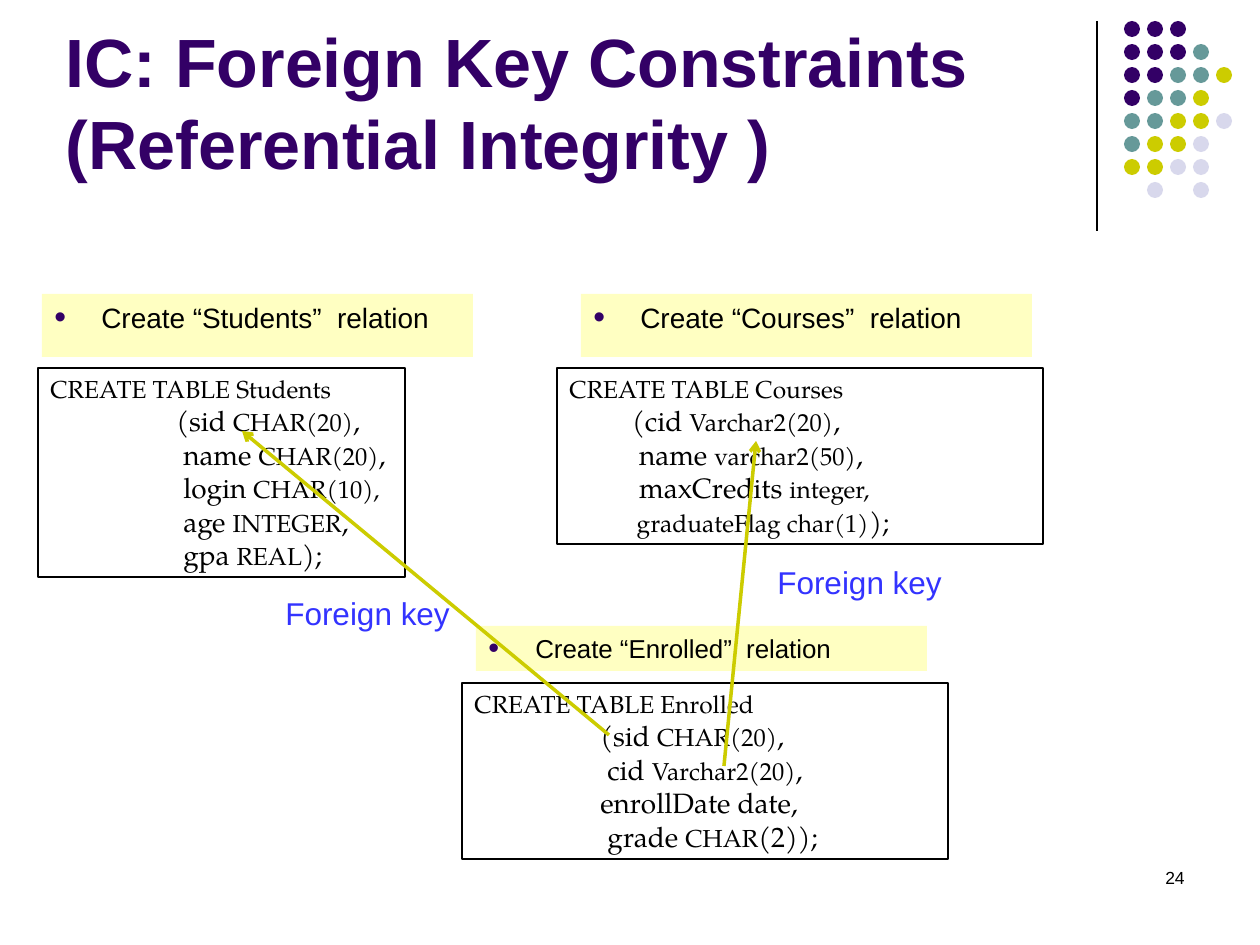
from dataclasses import dataclass

from lxml import etree
from pptx import Presentation
from pptx.dml.color import RGBColor
from pptx.enum.shapes import MSO_CONNECTOR, MSO_SHAPE
from pptx.enum.text import MSO_ANCHOR, PP_ALIGN
from pptx.oxml.ns import qn
from pptx.util import Emu, Pt

RECTANGLE, OVAL = MSO_SHAPE.RECTANGLE, MSO_SHAPE.OVAL
STRAIGHT = MSO_CONNECTOR.STRAIGHT
TOP, BOTTOM = MSO_ANCHOR.TOP, MSO_ANCHOR.BOTTOM
LEFT, RIGHT = PP_ALIGN.LEFT, PP_ALIGN.RIGHT
PX_PER_INCH = 126


@dataclass(frozen=True)
class Theme:
    """Colours, fonts and type sizes of the slide."""
    purple: str = "330066"
    teal: str = "669999"
    olive: str = "CCCC00"
    lavender: str = "D8D8EC"
    cream: str = "FFFFC2"
    blue: str = "3333FF"
    black: str = "000000"
    sans: str = "Arial"
    serif: str = "TeX Gyre Pagella"
    title: float = 39
    label: float = 18
    banner: float = 16
    small_banner: float = 14.8
    code: float = 16
    small_code: float = 14
    number: float = 10


THEME = Theme()

DOT_COLORS = {"P": THEME.purple, "T": THEME.teal, "Y": THEME.olive, "L": THEME.lavender}
DOT_ROWS = ("PPP", "PPPT", "PPTTY", "PTTY", "TTYYL", "TYYL", "YYLL", " L L")

STUDENTS = (
    ("", "CREATE TABLE Students"),
    ("\t(sid ", "CHAR(20)", ","),
    ("\t name ", "CHAR(20)", ","),
    ("\t login ", "CHAR(10),"),
    ("\t age ", "INTEGER", ","),
    ("\t gpa ", "REAL", ");"),
)
COURSES = (
    ("", "CREATE TABLE Courses"),
    ("         (cid ", "Varchar2(20)", ","),
    ("          name ", "varchar2(50)", ","),
    ("          maxCredits ", "integer,"),
    ("", "           graduateFlag char(1)", ");"),
)
ENROLLED = (
    ("", "CREATE TABLE Enrolled"),
    ("\t(sid ", "CHAR(20)", ","),
    ("\t cid ", "Varchar2(20)", ","),
    ("\tenrollDate date,",),
    ("\t grade ", "CHAR", "(2));"),
)


def px(length):
    """Turn pixels into EMU."""
    return Emu(round(length * 914400 / PX_PER_INCH))


def color(value):
    """Turn a hex string into a colour."""
    return RGBColor.from_string(value)


def add_element(parent, tag, **attributes):
    """Append a DrawingML element to a parent element."""
    return etree.SubElement(parent, qn(tag), attributes)


def add_run(paragraph, text, size, fill, font=THEME.sans, bold=False):
    """Add one formatted run to a paragraph."""
    run = paragraph.add_run()
    run.text = text
    run.font.name, run.font.size, run.font.bold = font, Pt(size), bold
    run.font.color.rgb = color(fill)


def add_panel(slide, box, kind=RECTANGLE, fill=None, line=None):
    """Add a preset shape with top left text and return it."""
    shape = slide.shapes.add_shape(kind, *map(px, box))
    shape.shadow.inherit = False
    if fill:
        shape.fill.solid()
        shape.fill.fore_color.rgb = color(fill)
    else:
        shape.fill.background()
    if line:
        shape.line.color.rgb = color(line)
        shape.line.width = Pt(0.75)
    else:
        shape.line.fill.background()
    shape.text_frame.vertical_anchor = TOP
    shape.text_frame.word_wrap = True
    return shape


def add_text(slide, box, anchor=TOP, align=LEFT):
    """Add a text box and return its first paragraph."""
    frame = slide.shapes.add_textbox(*map(px, box)).text_frame
    frame.word_wrap, frame.vertical_anchor = True, anchor
    frame.paragraphs[0].alignment = align
    return frame.paragraphs[0]


def add_line(slide, start, end, fill, width):
    """Add a straight connector without shadow and return it."""
    connector = slide.shapes.add_connector(STRAIGHT, *map(px, (*start, *end)))
    connector.line.color.rgb = color(fill)
    connector.line.width = Pt(width)
    add_element(connector._element.spPr, "a:effectLst")
    return connector


def add_title(slide, box, lines):
    """Place the title, one line break between its lines."""
    paragraph = add_text(slide, box, anchor=BOTTOM)
    for index, line in enumerate(lines):
        if index:
            paragraph.add_line_break()
        add_run(paragraph, line, THEME.title, THEME.purple, bold=True)


def add_ornament(slide, box):
    """Place the vertical rule and the dot grid beside it."""
    left, top, height = box
    add_line(slide, (left, top), (left, top + height), THEME.black, 0.75)
    pitch, diameter, offset = 23, 16, 27
    for row, codes in enumerate(DOT_ROWS):
        for column, code in enumerate(codes):
            if code in DOT_COLORS:
                dot = (left + offset + column * pitch, top + row * pitch, diameter, diameter)
                add_panel(slide, dot, OVAL, fill=DOT_COLORS[code])


def add_banner(slide, box, text, size=THEME.banner):
    """Place a bulleted caption on a cream band."""
    paragraph = add_panel(slide, box, fill=THEME.cream).text_frame.paragraphs[0]
    paragraph.alignment = LEFT
    properties = paragraph._p.get_or_add_pPr()
    indent = px(47)
    properties.set("marL", str(indent))
    properties.set("indent", str(-indent))
    add_element(add_element(properties, "a:buClr"), "a:srgbClr", val=THEME.purple)
    add_element(properties, "a:buSzPct", val="120000")
    add_element(properties, "a:buFont", typeface=THEME.sans)
    add_element(properties, "a:buChar", char="•")
    add_run(paragraph, text, size, THEME.black)


def add_code(slide, box, lines):
    """Place a framed statement whose parts alternate between large and small type."""
    frame = add_panel(slide, box, line=THEME.black).text_frame
    sizes = (THEME.code, THEME.small_code)
    for index, parts in enumerate(lines):
        paragraph = frame.add_paragraph() if index else frame.paragraphs[0]
        paragraph.alignment = LEFT
        tabs = add_element(paragraph._p.get_or_add_pPr(), "a:tabLst")
        add_element(tabs, "a:tab", pos=str(px(PX_PER_INCH)), algn="l")
        for position, part in enumerate(parts):
            if part:
                add_run(paragraph, part, sizes[position % 2], THEME.black, THEME.serif)


def add_foreign_key(slide, origin, start, end, label):
    """Place an arrow and its label, all measured from the origin."""
    left, top = origin
    start, end, label = ((left + x, top + y) for x, y in (start, end, label))
    arrow = add_line(slide, start, end, THEME.olive, 2)
    add_element(arrow.line._get_or_add_ln(), "a:tailEnd", type="arrow")
    add_run(add_text(slide, (*label, 200, 50)), "Foreign key", THEME.label, THEME.blue)


def main():
    """Build the slide and save it."""
    presentation = Presentation()
    presentation.slide_width, presentation.slide_height = px(1260), px(945)
    slide = presentation.slides.add_slide(presentation.slide_layouts[6])
    add_ornament(slide, (1097, 21, 210))
    add_title(slide, (53, 28, 1040, 161), ("IC: Foreign Key Constraints", "(Referential Integrity )"))
    number = add_text(slide, (903, 861, 294, 63), align=RIGHT)
    add_run(number, "24", THEME.number, THEME.black)
    add_banner(slide, (42, 294, 431, 63), "Create “Students”  relation")
    add_code(slide, (38, 368, 367, 209), STUDENTS)
    add_code(slide, (557, 368, 486, 176), COURSES)
    add_banner(slide, (581, 294, 451, 63), "Create “Courses”  relation")
    add_code(slide, (462, 683, 486, 176), ENROLLED)
    add_banner(slide, (476, 626, 451, 45), "Create “Enrolled”  relation", THEME.small_banner)
    add_foreign_key(slide, (242, 431), (367, 304), (0, 0), (31, 157))
    add_foreign_key(slide, (724, 441), (0, 325), (32, 0), (41, 116))
    presentation.save("out.pptx")


if __name__ == "__main__":
    main()
